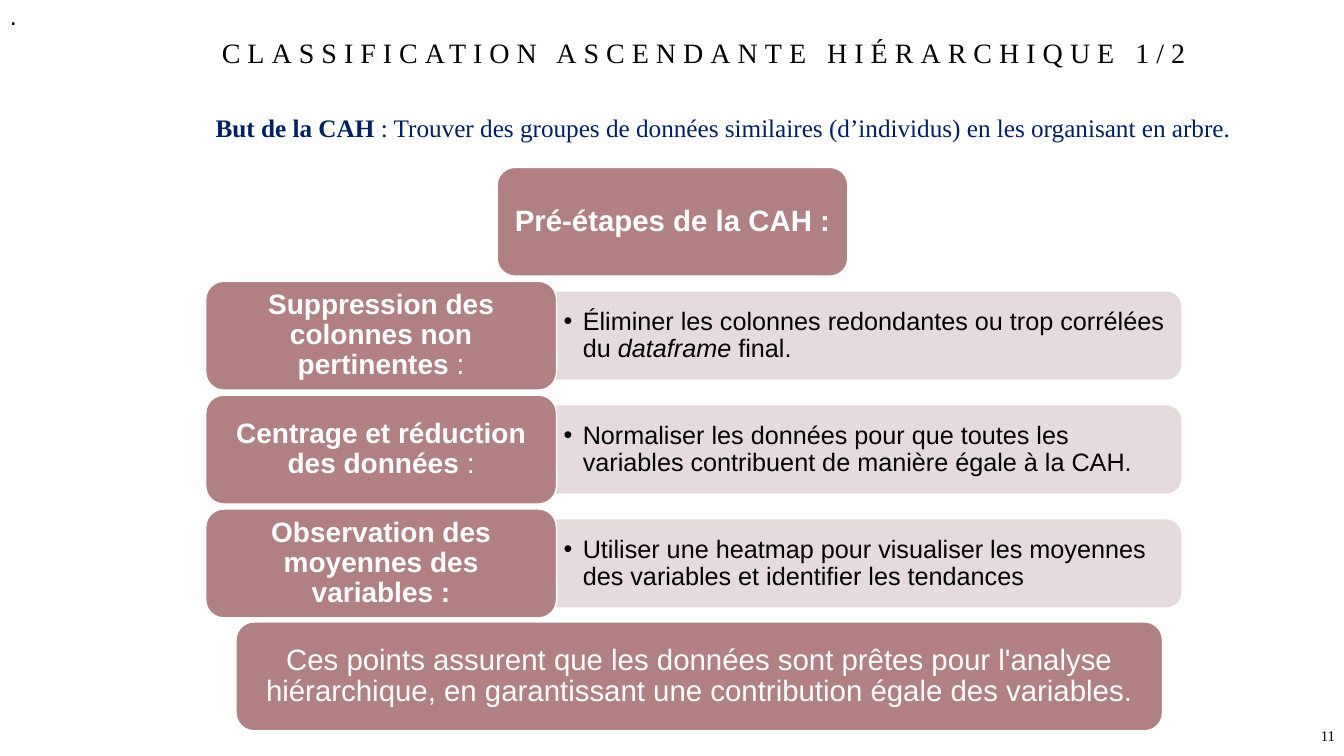
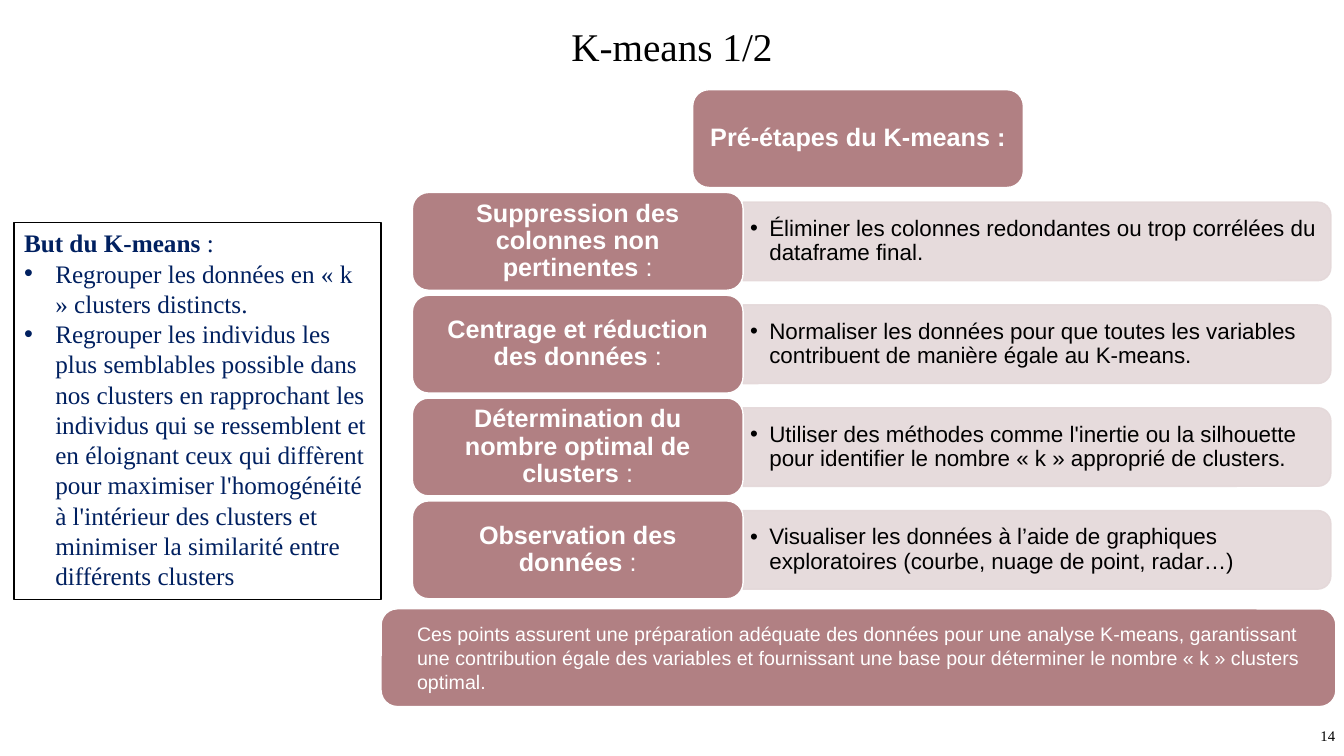
from lxml import etree
from pptx import Presentation
from pptx import util as u
from pptx.dml.color import RGBColor
from pptx.enum import shapes, text
from pptx.oxml.ns import qn

COLORS = {"rose": "B18083", "pale": "E4D8D9", "navy": "002060", "white": "FFFFFF", "black": "000000"}
SERIF, SANS = "Times New Roman", "Arial"
LEFT, CENTER, RIGHT = text.PP_ALIGN.LEFT, text.PP_ALIGN.CENTER, text.PP_ALIGN.RIGHT
TOP, MIDDLE = text.MSO_ANCHOR.TOP, text.MSO_ANCHOR.MIDDLE
BOX = shapes.MSO_SHAPE
INSETS = (0.1, 0.05, 0.1, 0.05)

CAH = {
    "number": "11",
    "title": "CLASSIFICATION ASCENDANTE HIÉRARCHIQUE 1/2",
    "title_style": {"at": (1.73, 0.25, 10.5, 0.48), "size": 20, "tracking": 5, "leading": 1.2, "anchor": MIDDLE},
    "heading": "Pré-étapes de la CAH :",
    "steps": [
        ([("Suppression des colonnes non pertinentes", "b"), (" :", "")],
         [("Éliminer les colonnes redondantes ou trop corrélées du ", ""), ("dataframe", "i"), (" final.", "")]),
        ([("Centrage et réduction des données", "b"), (" :", "")],
         [("Normaliser les données pour que toutes les variables contribuent de manière égale à la CAH.", "")]),
        ([("Observation des moyennes des variables :", "b")],
         [("Utiliser une heatmap pour visualiser les moyennes des variables et identifier les tendances", "")]),
    ],
    "grid": {"left": 2.04, "top": 1.66, "pitch": 1.13, "label": (3.48, 1.08), "band": (6.19, 0.86),
             "heading_left": 4.93, "sizes": (21, 20, 18)},
    "conclusion": "Ces points assurent que les données sont prêtes pour l'analyse hiérarchique, "
                  "en garantissant une contribution égale des variables.",
    "conclusion_style": {"at": (2.34, 6.17, 9.19, 1.08), "size": 21, "align": CENTER, "leading": 0.9,
                         "insets": (0.09, 0.04, 0.09, 0.04)},
}

KMEANS = {
    "number": "14",
    "title": "K-means 1/2",
    "title_style": {"at": (3.11, 0.17, 7.11, 0.57), "size": 28, "tracking": 0, "leading": 1, "anchor": TOP},
    "heading": "Pré-étapes du K-means :",
    "steps": [
        ([("Suppression des colonnes non pertinentes", "b"), (" :", "")],
         [("Éliminer les colonnes redondantes ou trop corrélées du dataframe final.", "")]),
        ([("Centrage et réduction des données", "b"), (" :", "")],
         [("Normaliser les données pour que toutes les variables contribuent de manière égale au K-means.", "")]),
        ([("Détermination du nombre optimal de clusters", "b"), (" :", "")],
         [("Utiliser des méthodes comme l'inertie ou la silhouette pour identifier le nombre "
           "« k » approprié de clusters.", "")]),
        ([("Observation des données", "b"), (" :", "")],
         [("Visualiser les données à l’aide de graphiques exploratoires (courbe, nuage de point, radar…)", "")]),
    ],
    "grid": {"left": 4.09, "top": 0.89, "pitch": 1.02, "label": (3.28, 0.97), "band": (5.83, 0.78),
             "heading_left": 6.87, "sizes": (18, 18, 16)},
    "conclusion": "Ces points assurent une préparation adéquate des données pour une analyse K-means, "
                  "garantissant une contribution égale des variables et fournissant une base pour "
                  "déterminer le nombre « k » clusters optimal.",
    "conclusion_style": {"at": (3.78, 6.04, 9.47, 0.97), "size": 14, "align": LEFT, "leading": 1,
                         "insets": (0.31, 0.05, 0.1, 0.05)},
}

CAH_GOAL = [("But de la CAH", "b"),
            (" : Trouver des groupes de données similaires (d’individus) en les organisant en arbre.", "")]
KMEANS_GOAL = [("But du K-means", "b"), (" :", "")]
KMEANS_GOAL_POINTS = [
    "Regrouper les données en « k » clusters distincts.",
    "Regrouper les individus les plus semblables possible dans nos clusters en rapprochant les individus "
    "qui se ressemblent et en éloignant ceux qui diffèrent pour maximiser l'homogénéité à l'intérieur "
    "des clusters et minimiser la similarité entre différents clusters",
]


def rgb(name):
    return RGBColor.from_string(COLORS[name])


def inches(lengths):
    return [u.Inches(length) for length in lengths]


def set_frame(shape, anchor=TOP, insets=INSETS, wrap=True):
    frame = shape.text_frame
    frame.auto_size = text.MSO_AUTO_SIZE.NONE
    frame.word_wrap = wrap
    frame.vertical_anchor = anchor
    frame.margin_left, frame.margin_top, frame.margin_right, frame.margin_bottom = inches(insets)
    return frame


def write(paragraph, runs, size, color="black", font=SERIF, align=LEFT, leading=1, bullet=0):
    if bullet:
        properties = paragraph._p.get_or_add_pPr()
        properties.set("marL", str(u.Inches(bullet)))
        properties.set("indent", str(-u.Inches(bullet)))
        etree.SubElement(properties, qn("a:buFont")).set("typeface", SANS)
        etree.SubElement(properties, qn("a:buChar")).set("char", "•")
    paragraph.alignment = align
    paragraph.line_spacing = leading
    for words, style in runs:
        run = paragraph.add_run()
        run.text = words
        run.font.name = font
        run.font.size = u.Pt(size)
        run.font.bold = "b" in style
        run.font.italic = "i" in style
        run.font.color.rgb = rgb(color)


def add_text(slide, at, runs, size, anchor=TOP, insets=INSETS, wrap=True, **style):
    shape = slide.shapes.add_textbox(*inches(at))
    write(set_frame(shape, anchor, insets, wrap).paragraphs[0], runs, size, **style)


def add_box(slide, kind, at, fill, line):
    shape = slide.shapes.add_shape(kind, *inches(at))
    shape.shadow.inherit = False
    shape.fill.solid()
    shape.fill.fore_color.rgb = rgb(fill)
    shape.line.color.rgb = rgb(line)
    shape.line.width = u.Pt(1)
    return shape


def add_card(slide, at, runs, size, align=CENTER, leading=0.9, insets=(0.08, 0.04, 0.08, 0.04)):
    card = add_box(slide, BOX.ROUNDED_RECTANGLE, at, "rose", "white")
    write(set_frame(card, MIDDLE, insets).paragraphs[0], runs, size, "white", SANS, align, leading)


def add_band(slide, left, middle, width, height, runs, size):
    at = (left + (width - height) / 2, middle - width / 2, height, width)
    band = add_box(slide, BOX.ROUND_2_SAME_RECTANGLE, at, "pale", "pale")
    band.rotation = 90
    for color in band._element.spPr.iter(qn("a:srgbClr")):
        etree.SubElement(color, qn("a:alpha")).set("val", "90000")
    add_text(slide, (left, middle - height / 2 + 0.04, width - 0.04, height - 0.08), runs, size,
             anchor=MIDDLE, insets=(0.07, 0.04, 0.07, 0.04), font=SANS, leading=0.9, bullet=0.19)


def add_steps(slide, heading, steps, grid):
    heading_size, label_size, band_size = grid["sizes"]
    label_width, label_height = grid["label"]
    add_card(slide, (grid["heading_left"], grid["top"], label_width, label_height),
             [(heading, "b")], heading_size)
    for row, (label, detail) in enumerate(steps, 1):
        top = grid["top"] + row * grid["pitch"]
        add_band(slide, grid["left"] + label_width, top + label_height / 2, *grid["band"], detail, band_size)
        add_card(slide, (grid["left"], top, label_width, label_height), label, label_size)


def add_slide(presentation, content):
    slide = presentation.slides.add_slide(presentation.slide_layouts[5])
    style = content["title_style"]
    title = slide.shapes.title
    title.left, title.top, title.width, title.height = inches(style["at"])
    paragraph = set_frame(title, style["anchor"]).paragraphs[0]
    write(paragraph, [(content["title"], "")], style["size"], align=CENTER, leading=style["leading"])
    if style["tracking"]:
        paragraph.runs[0].font._element.set("spc", str(style["tracking"] * 100))
    add_text(slide, (12.66, 7.1, 0.68, 0.4), [(content["number"], "")], 10.5, anchor=MIDDLE, align=RIGHT)
    add_steps(slide, content["heading"], content["steps"], content["grid"])
    conclusion = dict(content["conclusion_style"])
    add_card(slide, conclusion.pop("at"), [(content["conclusion"], "")], **conclusion)
    return slide


def main():
    presentation = Presentation()
    presentation.slide_width, presentation.slide_height = inches((13.33, 7.5))

    slide = add_slide(presentation, CAH)
    add_text(slide, (0, 0, 0.27, 0.3), [(".", "")], 18, insets=(0.1, 0, 0.1, 0), wrap=False, font=SANS)
    add_text(slide, (2.04, 1.07, 11.22, 0.4), CAH_GOAL, 18, color="navy")

    slide = add_slide(presentation, KMEANS)
    goal = add_box(slide, BOX.RECTANGLE, (0.14, 2.21, 3.64, 3.74), "white", "black")
    frame = set_frame(goal)
    write(frame.paragraphs[0], KMEANS_GOAL, 18, "navy")
    for point in KMEANS_GOAL_POINTS:
        write(frame.add_paragraph(), [(point, "")], 18, "navy", bullet=0.31)

    presentation.save("out.pptx")


if __name__ == "__main__":
    main()
